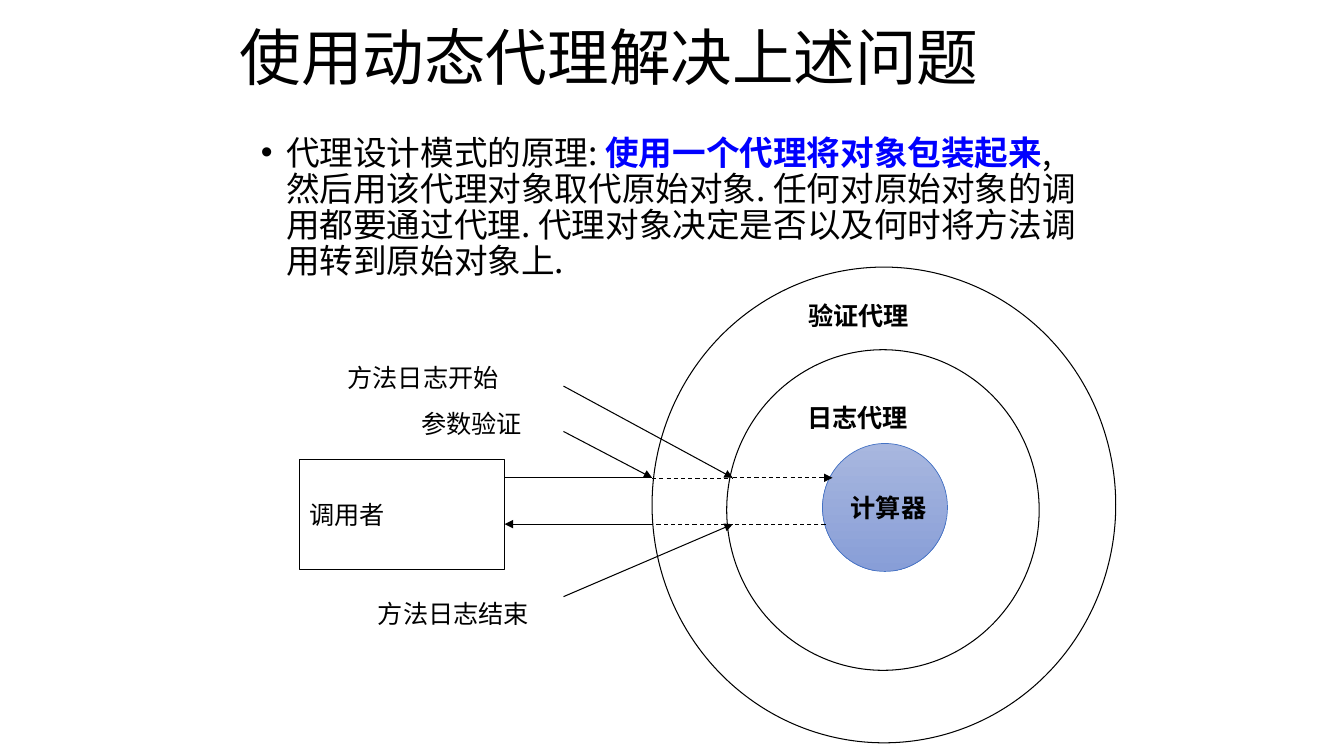
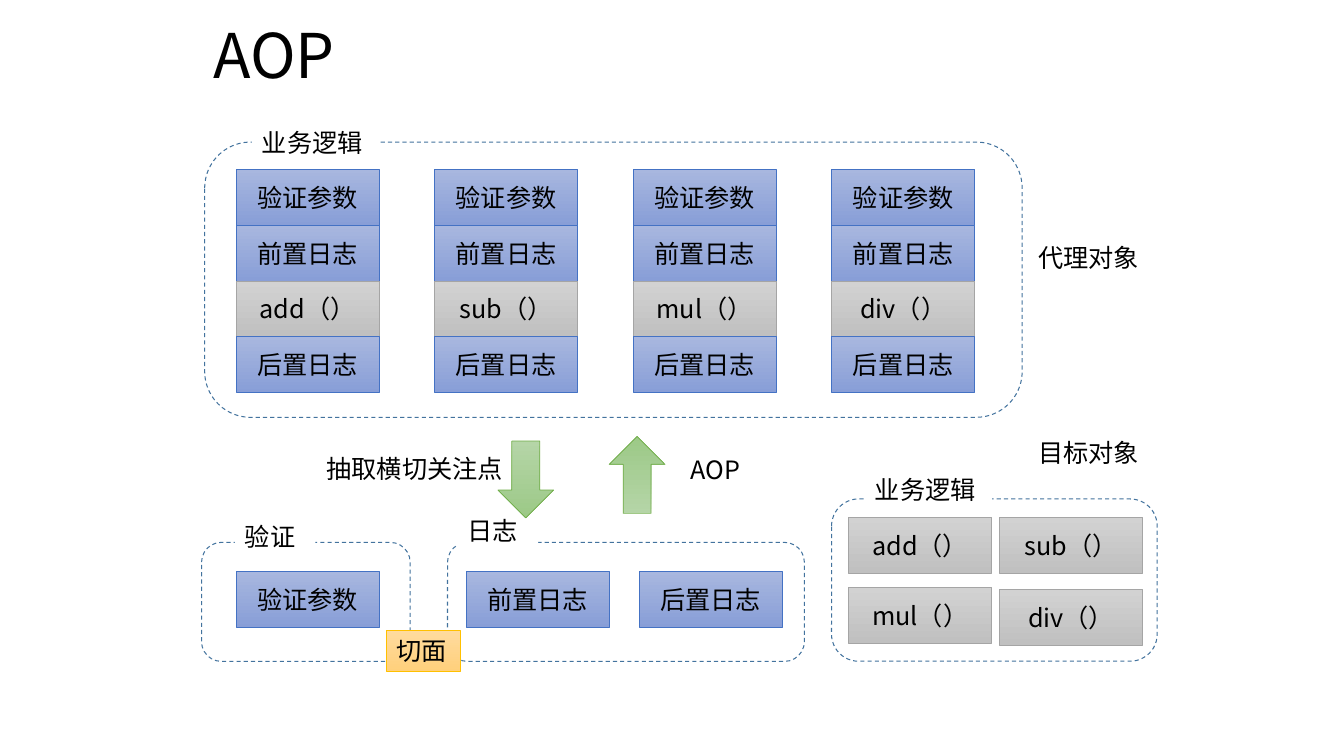
import pptx
import pptx.util
import pptx.dml.color
import pptx.enum.dml
import pptx.enum.shapes
import pptx.enum.text
import pptx.oxml.xmlchemy

Pt = pptx.util.Pt
SHAPE = pptx.enum.shapes.MSO_SHAPE
ANCHOR = pptx.enum.text.MSO_ANCHOR
ALIGN = pptx.enum.text.PP_ALIGN
DASH = pptx.enum.dml.MSO_LINE.DASH

FONT = "Noto Sans CJK SC"
COLORS = {"ink": "000000", "paper": "FFFFFF", "accent": "0000FF", "frame": "43739E"}
GRADIENTS = {
    "blue": ("A8B7DF", "889ED7", "4472C4"),
    "gray": ("D2D2D2", "C0C0C0", "A5A5A5"),
    "green": ("B5D5A7", "9CC987", "70AD47"),
    "gold": ("FFDB9E", "FFD07C", "FFC000"),
}
TILE_WIDTH, TILE_HEIGHT = 102.3, 39.84
LABEL_HEIGHT = 28.8


def rgb(value):
    return pptx.dml.color.RGBColor.from_string(value)


def add_xml(parent, tag, **attributes):
    element = pptx.oxml.xmlchemy.OxmlElement(tag)
    for name, value in attributes.items():
        element.set(name, value)
    parent.append(element)


def style_span(span, size=18, bold=False, color="ink"):
    span.font.size = Pt(size)
    span.font.bold = bold
    span.font.color.rgb = rgb(COLORS[color])
    span.font.name = FONT
    add_xml(span.font._element, "a:ea", typeface=FONT)


def hang(para, indent):
    properties = para._p.get_or_add_pPr()
    properties.set("marL", str(Pt(indent)))
    properties.set("indent", str(-Pt(indent)))
    return properties


def write(box, text, size=18, bold=False, anchor=ANCHOR.TOP, align=ALIGN.LEFT, wrap=True):
    frame = box.text_frame
    frame.text = text
    frame.word_wrap = wrap
    frame.vertical_anchor = anchor
    para = frame.paragraphs[0]
    para.alignment = align
    style_span(para.runs[0], size, bold)
    return para


def paint(shape, gradient):
    top, bottom, edge = GRADIENTS[gradient]
    shape.fill.gradient()
    shape.fill.gradient_angle = 270
    for stop, color in zip(shape.fill.gradient_stops, (top, bottom)):
        stop.color.rgb = rgb(color)
    shape.line.color.rgb = rgb(edge)
    shape.line.width = Pt(0.5)


def add_figure(page, kind, bounds, gradient=None, line="ink"):
    shape = page.shapes.add_shape(kind, *map(Pt, bounds))
    shape.shadow.inherit = False
    if gradient:
        paint(shape, gradient)
    else:
        shape.fill.background()
        shape.line.color.rgb = rgb(COLORS[line])
        shape.line.width = Pt(0.75)
    return shape


def add_label(page, text, left, top, width, bold=False):
    box = page.shapes.add_textbox(*map(Pt, (left, top, width, LABEL_HEIGHT)))
    write(box, text, bold=bold)
    return box


def add_title(page, text, left, top, height):
    box = page.shapes.add_textbox(*map(Pt, (left, top, 648, height)))
    write(box, text, size=44, anchor=ANCHOR.MIDDLE).line_spacing = 0.9


def add_bullet(page, bounds, parts):
    box = page.shapes.add_textbox(*map(Pt, bounds))
    box.text_frame.word_wrap = True
    para = box.text_frame.paragraphs[0]
    para.line_spacing = 0.9
    para.space_before = Pt(10)
    properties = hang(para, 18)
    add_xml(properties, "a:buFont", typeface="Arial")
    add_xml(properties, "a:buChar", char="•")
    for text, bold, color in parts:
        span = para.add_run()
        span.text = text
        style_span(span, 24, bold, color)


def add_line(page, start, end, dashed=False, arrow=False):
    line = page.shapes.add_connector(
        pptx.enum.shapes.MSO_CONNECTOR.STRAIGHT, *map(Pt, start + end))
    line.line.color.rgb = rgb(COLORS["ink"])
    line.line.width = Pt(0.75)
    if dashed:
        line.line.dash_style = DASH
    if arrow:
        add_xml(line.line._get_or_add_ln(), "a:tailEnd", type="triangle")
    add_xml(line._element.spPr, "a:effectLst")


def add_tile(page, text, left, top, gradient="blue"):
    tile = add_figure(page, SHAPE.RECTANGLE, (left, top, TILE_WIDTH, TILE_HEIGHT), gradient)
    write(tile, text, anchor=ANCHOR.MIDDLE, align=ALIGN.CENTER)


def add_frame(page, bounds, text, left, top, width):
    frame = add_figure(page, SHAPE.ROUNDED_RECTANGLE, bounds, line="frame")
    frame.line.dash_style = DASH
    label = add_label(page, text, left, top, width)
    label.fill.solid()
    label.fill.fore_color.rgb = rgb(COLORS["paper"])


def build_proxy_page(page):
    add_title(page, "使用动态代理解决上述问题", 164, 9.4, 67.7)
    add_bullet(page, (179.3, 93.6, 606.2, 126), [
        ("代理设计模式的原理: ", False, "ink"),
        ("使用一个代理将对象包装起来", True, "accent"),
        (", 然后用该代理对象取代原始对象. 任何对原始对象的调用都要通过代理. "
         "代理对象决定是否以及何时将方法调用转到原始对象上.", False, "ink"),
    ])
    caller = add_figure(page, SHAPE.RECTANGLE, (213.8, 328.3, 146.9, 78.5))
    add_figure(page, SHAPE.OVAL, (519.1, 249.8, 223.2, 229))
    calculator = add_figure(page, SHAPE.OVAL, (587.5, 316.8, 89.3, 91.4), "blue")
    add_figure(page, SHAPE.OVAL, (465.8, 190.8, 331.2, 339.8))
    for box, text, bold in ((caller, "调用者", False), (calculator, "计算器", True)):
        hang(write(box, text, bold=bold, anchor=ANCHOR.MIDDLE, wrap=False), 27)

    for text, left, top, width, bold in (
        ("验证代理", 570.2, 211, 124.6, True),
        ("日志代理", 569.5, 283.7, 124.6, True),
        ("参数验证", 293.8, 288, 108.7, False),
        ("方法日志开始", 241.2, 255.6, 178.6, False),
        ("方法日志结束", 262.8, 424, 159.1, False),
    ):
        add_label(page, text, left, top, width, bold)

    caller_edge, outer_edge, inner_edge, note_edge = 360.5, 465.8, 523.4, 402.5
    request, reply = 341.3, 374.4
    add_line(page, (caller_edge, request), (outer_edge, request))
    add_line(page, (outer_edge, request + 0.5), (inner_edge, request + 0.5), dashed=True)
    add_line(page, (inner_edge, request), (594.7, request), dashed=True, arrow=True)
    add_line(page, (589.7, reply), (519.1, reply), dashed=True)
    add_line(page, (inner_edge, reply + 0.5), (outer_edge, reply + 0.5), dashed=True)
    add_line(page, (outer_edge, reply), (caller_edge, reply), arrow=True)
    for note_top, target in (
        (308.2, (outer_edge, request)),
        (275.8, (inner_edge, request)),
        (426.2, (inner_edge, reply)),
    ):
        add_line(page, (note_edge, note_top), target, arrow=True)


def build_aop_page(page):
    add_title(page, "AOP", 145.4, -3, 90)
    methods = [name + "（）" for name in ("add", "sub", "mul", "div")]
    for column, method in enumerate(methods):
        for row, text in enumerate(("验证参数", "前置日志", method, "后置日志")):
            add_tile(page, text, 168.5 + 141.84 * column, 121 + TILE_HEIGHT * row,
                     "gray" if text == method else "blue")

    for bounds, text, left, top, width in (
        ((146.2, 101.5, 583.9, 196.6), "业务逻辑", 180, 87.1, 90.7),
        ((594, 356.4, 232.6, 115.9), "业务逻辑", 617.8, 335.5, 90.7),
        ((144, 387.4, 149, 85), "验证", 167.8, 368.6, 57.6),
        ((319.7, 387.4, 254.9, 85), "日志", 326.9, 364.3, 57.6),
    ):
        add_frame(page, bounds, text, left, top, width)

    places = ((606.2, 369.4), (713.9, 369.4), (606.2, 419.4), (713.9, 421))
    for method, (left, top) in zip(methods, places):
        add_tile(page, method, left, top, "gray")
    for text, left in (("验证参数", 168.5), ("前置日志", 332.8), ("后置日志", 456.5)):
        add_tile(page, text, left, 408.2)

    for left, top, rotation in ((355.7, 315, 0), (435.2, 311.8, 180)):
        arrow = add_figure(page, SHAPE.DOWN_ARROW, (left, top, 39.8, 54.9), "green")
        arrow.rotation = rotation

    for text, left, top, width in (
        ("抽取横切关注点", 226.1, 320.4, 152.6),
        ("AOP", 486, 321.1, 61.9),
        ("目标对象", 734.4, 308.9, 92.2),
        ("代理对象", 734.4, 169.9, 92.2),
    ):
        add_label(page, text, left, top, width)
    aspect = add_label(page, "切面", 275.8, 450.5, 53)
    paint(aspect, "gold")


def main():
    deck = pptx.Presentation()
    deck.slide_width, deck.slide_height = Pt(960), Pt(540)
    for build in (build_proxy_page, build_aop_page):
        build(deck.slides.add_slide(deck.slide_layouts[6]))
    deck.save("out.pptx")


main()
